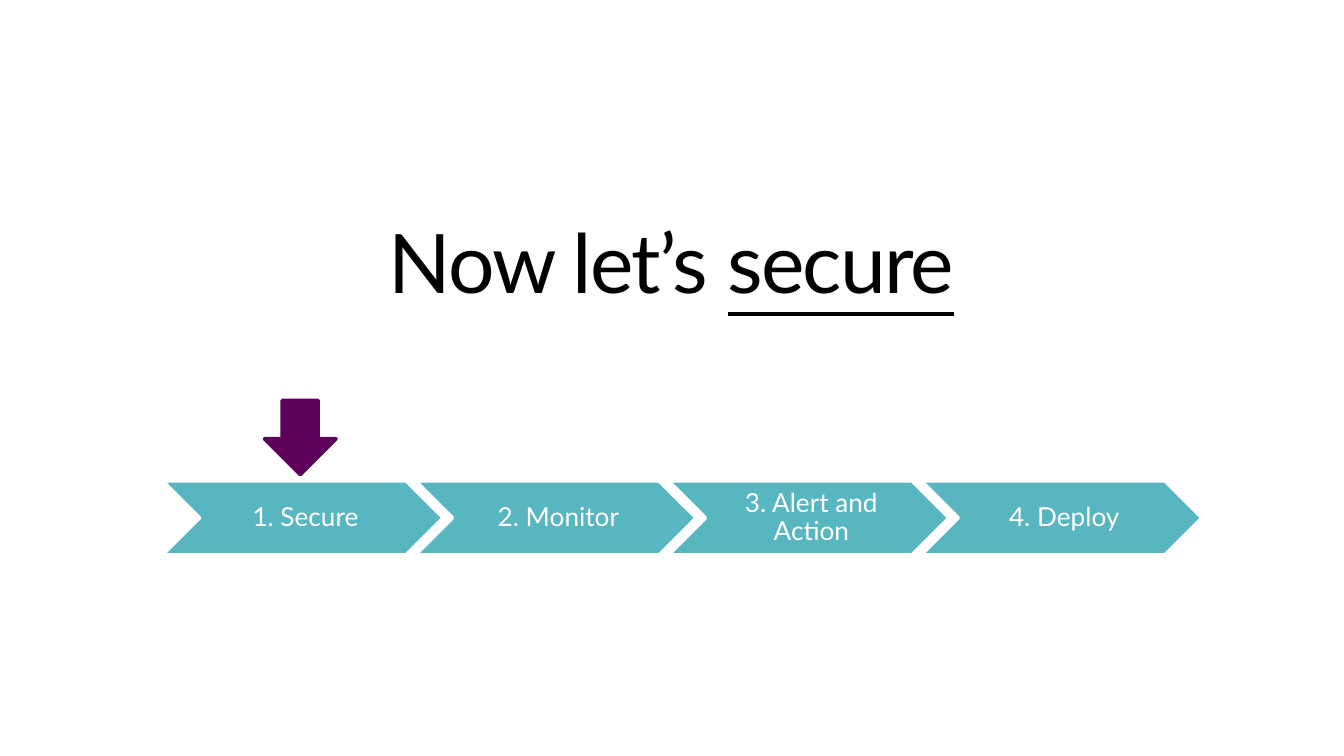
from pptx import Presentation
from pptx.dml.color import RGBColor
from pptx.enum.shapes import MSO_SHAPE
from pptx.enum.text import MSO_ANCHOR, MSO_AUTO_SIZE, PP_ALIGN
from pptx.util import Cm, Pt

CHEVRON = MSO_SHAPE.CHEVRON
DOWN_ARROW = MSO_SHAPE.DOWN_ARROW
MIDDLE = MSO_ANCHOR.MIDDLE
CENTER = PP_ALIGN.CENTER
GROW = MSO_AUTO_SIZE.SHAPE_TO_FIT_TEXT

BLACK = RGBColor(0x00, 0x00, 0x00)
WHITE = RGBColor(0xFF, 0xFF, 0xFF)
TEAL = RGBColor(0x58, 0xB6, 0xC0)
PURPLE = RGBColor(0x5C, 0x00, 0x5C)

FONT = "Lato"
TITLE_LAYOUT = 5
STEPS = ["1. Secure", "2. Monitor", "3. Alert and Action", "4. Deploy"]
STEP_LEFT, STEP_TOP = 3.07, 9.09
STEP_WIDTH, STEP_HEIGHT = 5.31, 1.4
STEP_PITCH = 4.78


def add_span(para, text, size, color, underline=None, spacing=None):
    """Append a run; spacing is the letter spacing in points."""
    span = para.add_run()
    span.text = text
    font = span.font
    font.name = FONT
    font.size = Pt(size)
    font.color.rgb = color
    font.underline = underline
    if spacing is not None:
        span._r.get_or_add_rPr().set("spc", str(int(spacing * 100)))


def format_frame(frame, margins):
    """Centre the text both ways; margins are left, top, right, bottom in cm."""
    frame.word_wrap = True
    frame.vertical_anchor = MIDDLE
    (frame.margin_left, frame.margin_top,
     frame.margin_right, frame.margin_bottom) = map(Cm, margins)
    para = frame.paragraphs[0]
    para.alignment = CENTER
    para.line_spacing = 0.9
    return para


def add_title(page):
    title = page.shapes.title
    title.left, title.top = Cm(1.07), Cm(4.19)
    title.width, title.height = Cm(23.24), Cm(1.7)
    para = format_frame(title.text_frame, (0, 0, 0, 0))
    title.text_frame.auto_size = GROW
    add_span(para, "Now let’s ", 44, BLACK, spacing=-1)
    add_span(para, "secure", 44, BLACK, underline=True, spacing=-1)


def add_block(page, preset, left, top, width, height, fill, line):
    block = page.shapes.add_shape(
        preset, Cm(left), Cm(top), Cm(width), Cm(height))
    block.shadow.inherit = False
    block.fill.solid()
    block.fill.fore_color.rgb = fill
    block.line.color.rgb = line
    block.line.width = Pt(2)
    return block


def add_step(page, index, label):
    left = STEP_LEFT + index * STEP_PITCH
    step = add_block(page, CHEVRON, left, STEP_TOP, STEP_WIDTH, STEP_HEIGHT,
                     TEAL, WHITE)
    para = format_frame(step.text_frame, (0.15, 0.05, 0.05, 0.05))
    add_span(para, label, 14, WHITE)


def main():
    deck = Presentation()
    deck.slide_width, deck.slide_height = Cm(25.4), Cm(14.29)
    page = deck.slides.add_slide(deck.slide_layouts[TITLE_LAYOUT])
    add_title(page)
    for index, label in enumerate(STEPS):
        add_step(page, index, label)
    add_block(page, DOWN_ARROW, 5, 7.57, 1.35, 1.4, PURPLE, PURPLE)
    deck.save("out.pptx")


if __name__ == "__main__":
    main()
